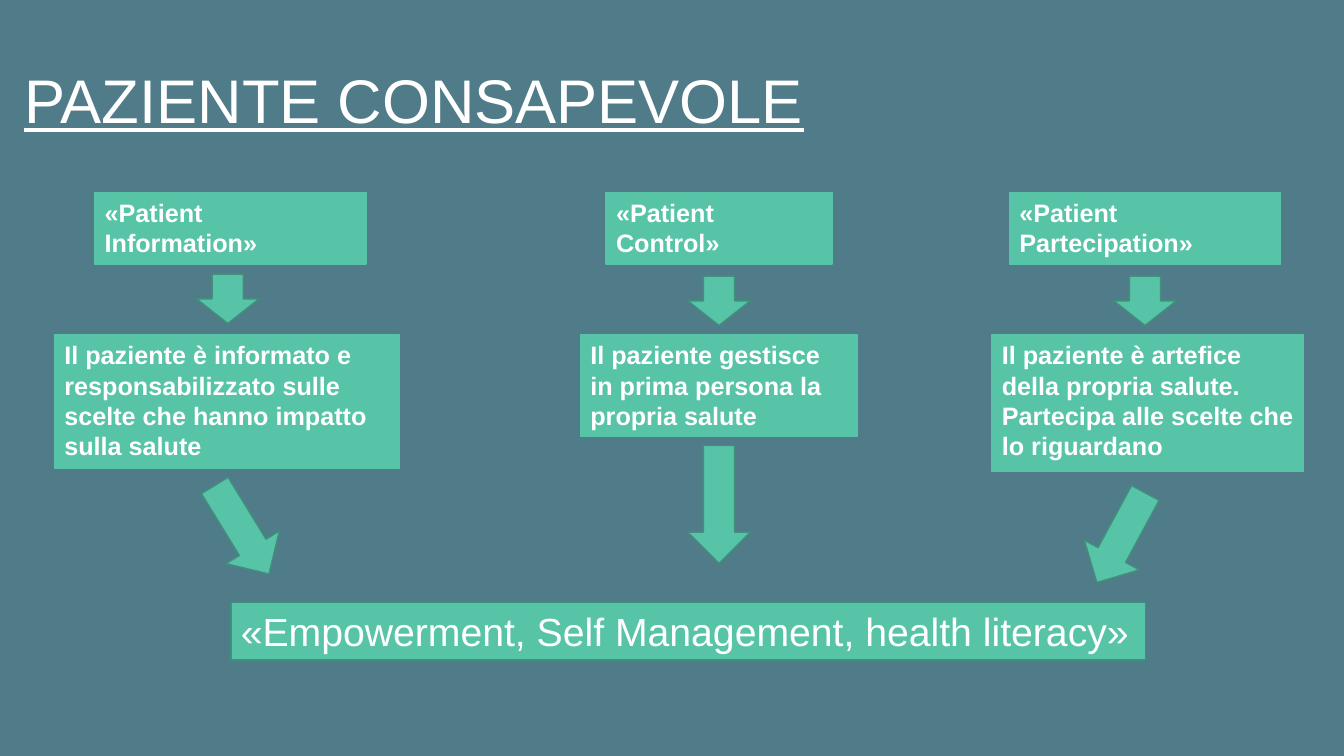
from dataclasses import dataclass

from pptx import Presentation
from pptx import util as u
from pptx.dml.color import RGBColor
from pptx.enum import shapes, text


@dataclass(frozen=True)
class Theme:
    background: str = "507C89"
    fill: str = "57C3A7"
    edge: str = "40907C"
    ink: str = "FFFFFF"
    font: str = "Arial"
    title_size: int = 44
    body_size: int = 18
    outcome_size: int = 28


THEME = Theme()
WIDTH, HEIGHT = u.Inches(13.333), u.Inches(7.5)
ARROW_WIDTH = 4.65

# Lengths are percentages of the slide's width or height
HEADER_TOP, HEADER_HEIGHT = 25.47, 9.47
SHORT_ARROW_HEIGHT = 6.53
DETAIL_TOP = 44.27

# header, detail: (text, centre, width[, height])
# short: (centre, top); long: (centre, top, height, rotation)
COLUMNS = [
    dict(header=("«Patient Information»", 17.14, 20.18),
         detail=("Il paziente è informato e responsabilizzato sulle "
                 "scelte che hanno impatto sulla salute", 16.88, 25.66, 17.73),
         short=(16.95, 36.27), long=(18, 63.2, 13.73, 328.5)),
    dict(header=("«Patient Control»", 53.5, 16.8),
         detail=("Il paziente gestisce in prima persona la propria salute",
                 53.5, 20.63, 13.47),
         short=(53.5, 36.53), long=(53.5, 58.93, 15.6, 0)),
    dict(header=("«Patient Partecipation»", 85.2, 20.18),
         detail=("Il paziente è artefice della propria salute. "
                 "Partecipa alle scelte che lo riguardano", 85.4, 23.18, 18.13),
         short=(85.2, 36.53), long=(83.42, 64.4, 13.47, 28.4)),
]


def color(value):
    return RGBColor.from_string(value)


def frame(centre, top, width, height):
    """Turn percentages into left, top, width and height."""
    return (round((centre - width / 2) * WIDTH / 100), round(top * HEIGHT / 100),
            round(width * WIDTH / 100), round(height * HEIGHT / 100))


def write(shape, words, size=THEME.body_size, bold=False, underline=False,
          wrap=True, anchor=text.MSO_ANCHOR.TOP):
    text_frame = shape.text_frame
    text_frame.text = words
    text_frame.word_wrap = wrap
    text_frame.auto_size = text.MSO_AUTO_SIZE.NONE
    text_frame.vertical_anchor = anchor
    paragraph = text_frame.paragraphs[0]
    paragraph.alignment = text.PP_ALIGN.LEFT
    font = paragraph.runs[0].font
    font.name, font.size = THEME.font, u.Pt(size)
    font.bold, font.underline = bold, underline
    font.color.rgb = color(THEME.ink)


def add_block(slide, kind, place, edge=THEME.edge):
    shape = slide.shapes.add_shape(kind, *frame(*place))
    shape.shadow.inherit = False
    shape.fill.solid()
    shape.fill.fore_color.rgb = color(THEME.fill)
    shape.line.color.rgb = color(edge)
    shape.line.width = u.Pt(1)
    return shape


def add_box(slide, words, place, edge=THEME.fill, **style):
    write(add_block(slide, shapes.MSO_SHAPE.RECTANGLE, place, edge), words, **style)


def add_arrow(slide, centre, top, height, rotation=0):
    place = (centre, top, ARROW_WIDTH, height)
    add_block(slide, shapes.MSO_SHAPE.DOWN_ARROW, place).rotation = rotation


def add_title(slide, words):
    title = slide.shapes.title
    title.left, title.top, title.width, title.height = frame(31.1, 7.47, 60.09, 11.2)
    write(title, words, size=THEME.title_size, underline=True, wrap=False,
          anchor=text.MSO_ANCHOR.MIDDLE)


def add_column(slide, header, detail, short, long):
    words, centre, width = header
    add_box(slide, words, (centre, HEADER_TOP, width, HEADER_HEIGHT), bold=True)
    add_arrow(slide, *short, SHORT_ARROW_HEIGHT)
    words, centre, width, height = detail
    add_box(slide, words, (centre, DETAIL_TOP, width, height), bold=True)
    add_arrow(slide, *long)


def main():
    presentation = Presentation()
    presentation.slide_width, presentation.slide_height = WIDTH, HEIGHT
    slide = presentation.slides.add_slide(
        presentation.slide_layouts.get_by_name("Title Only"))
    slide.background.fill.solid()
    slide.background.fill.fore_color.rgb = color(THEME.background)

    add_title(slide, "PAZIENTE CONSAPEVOLE")
    # Three paths leading to the shared outcome
    for column in COLUMNS:
        add_column(slide, **column)
    add_box(slide, "«Empowerment, Self Management, health literacy»",
            (51.2, 79.73, 68.04, 7.6), edge=THEME.edge, size=THEME.outcome_size)

    presentation.save("out.pptx")


if __name__ == "__main__":
    main()
